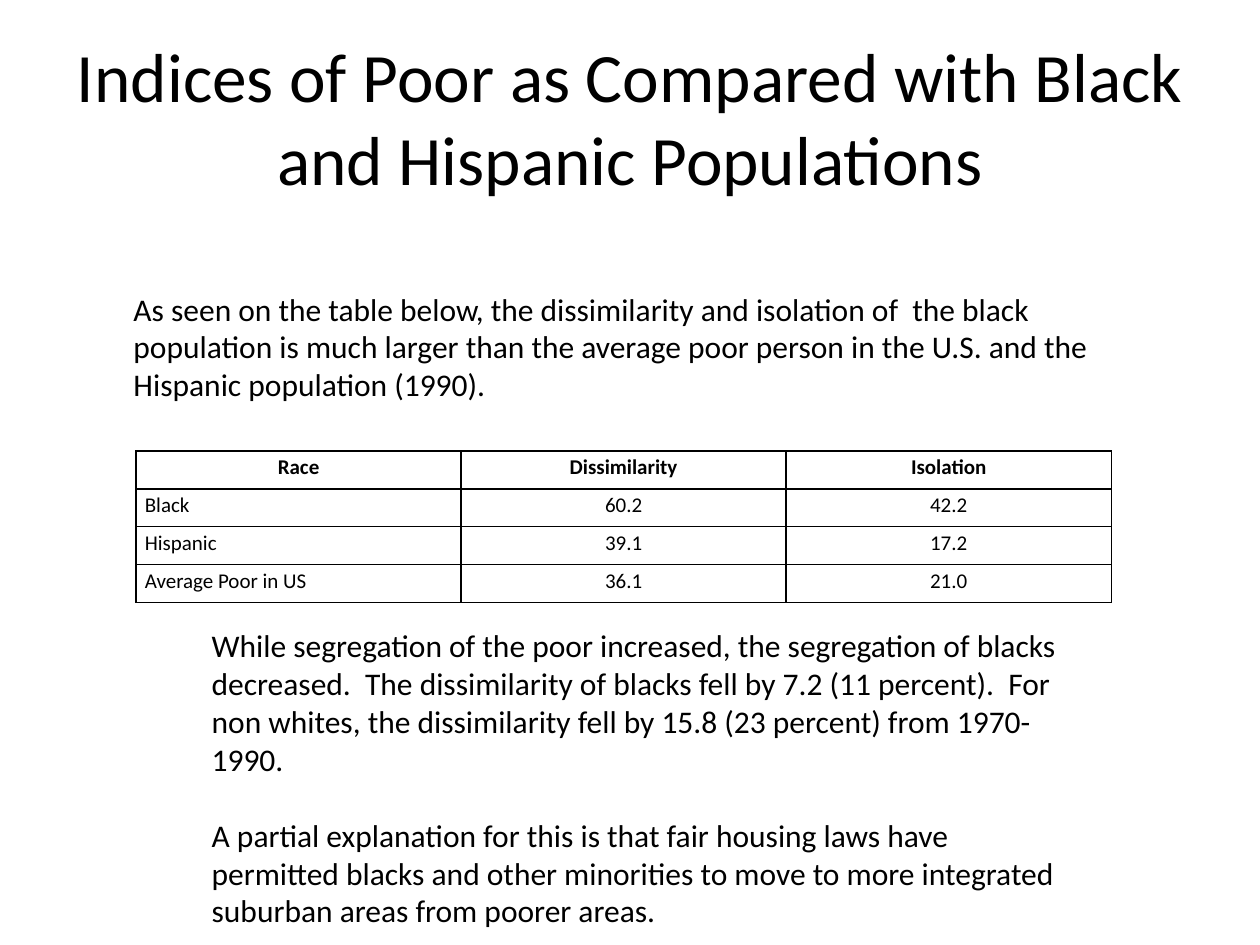
"""Build a slide comparing segregation indices of poor, Black and Hispanic populations."""
from lxml.etree import SubElement
from pptx import Presentation
from pptx.dml.color import RGBColor
from pptx.enum.text import MSO_ANCHOR as Anchor, PP_ALIGN as Align
from pptx.oxml.ns import qn
from pptx.util import Inches, Pt

TITLE = "Indices of Poor as Compared with Black and Hispanic Populations"
INTRO = [
    "As seen on the table below, the dissimilarity and isolation of  the black population "
    "is much larger than the average poor person in the U.S. and the Hispanic population (1990).",
]
FINDINGS = [
    "While segregation of the poor increased, the segregation of blacks decreased.  "
    "The dissimilarity of blacks fell by 7.2 (11 percent).  For non whites, "
    "the dissimilarity fell by 15.8 (23 percent) from 1970-1990.",
    "A partial explanation for this is that fair housing laws have permitted blacks and other "
    "minorities to move to more integrated suburban areas from poorer areas.",
]
INDICES = [
    ("Race", "Dissimilarity", "Isolation"),
    ("Black", "60.2", "42.2"),
    ("Hispanic", "39.1", "17.2"),
    ("Average Poor in US", "36.1", "21.0"),
]
THEME = {
    "font": "Calibri", "text": RGBColor(0, 0, 0), "border": "000000", "background": RGBColor(255, 255, 255),
    "title": Pt(39.6), "body": Pt(18), "table": Pt(12), "gap": Pt(22), "border_width": Pt(1),
}
COLUMN_WIDTH, ROW_HEIGHT = Inches(2.58), Inches(0.3)


def set_attributes(target, values):
    for name, value in values.items():
        setattr(target, name, value)


def format_paragraph(paragraph, size, bold=False, **layout):
    set_attributes(paragraph, layout)
    set_attributes(paragraph.font, {"name": THEME["font"], "size": size, "bold": bold})
    paragraph.font.color.rgb = THEME["text"]


def add_title(slide):
    title = slide.shapes.title
    set_attributes(title, {"left": Inches(0.5), "top": Inches(0.3), "width": Inches(9), "height": Inches(1.25)})
    frame = title.text_frame
    frame.text = TITLE
    set_attributes(frame, {"vertical_anchor": Anchor.MIDDLE, "word_wrap": True,
                           "margin_left": Inches(0.05), "margin_right": Inches(0.05)})
    format_paragraph(frame.paragraphs[0], THEME["title"], alignment=Align.CENTER)


def add_body(slide, texts, box, indent):
    frame = slide.shapes.add_textbox(*map(Inches, box)).text_frame
    set_attributes(frame, {"word_wrap": True, "margin_left": Inches(0.1 + indent)})
    for index, text in enumerate(texts):
        paragraph = frame.paragraphs[0] if index == 0 else frame.add_paragraph()
        paragraph.text = text
        format_paragraph(paragraph, THEME["body"], space_before=THEME["gap"] if index else Pt(0))


def add_borders(cell):
    properties = cell._tc.get_or_add_tcPr()
    for position, side in enumerate(("lnL", "lnR", "lnT", "lnB")):
        line = SubElement(properties, qn(f"a:{side}"), w=str(THEME["border_width"]))
        fill = SubElement(line, qn("a:solidFill"))
        SubElement(fill, qn("a:srgbClr"), val=THEME["border"])
        properties.remove(line)
        properties.insert(position, line)


def add_indices(slide):
    rows, columns = len(INDICES), len(INDICES[0])
    table = slide.shapes.add_table(rows, columns, Inches(1.08), Inches(3.58),
                                   COLUMN_WIDTH * columns, ROW_HEIGHT * rows).table
    for column in table.columns:
        column.width = COLUMN_WIDTH
    for row_index, values in enumerate(INDICES):
        table.rows[row_index].height = ROW_HEIGHT
        for column_index, value in enumerate(values):
            cell = table.cell(row_index, column_index)
            cell.text = value
            set_attributes(cell, {"margin_left": Inches(0.07), "margin_right": Inches(0.07),
                                  "margin_top": 0, "margin_bottom": 0})
            cell.fill.background()
            add_borders(cell)
            is_header = row_index == 0
            alignment = Align.CENTER if is_header or column_index else Align.LEFT
            format_paragraph(cell.text_frame.paragraphs[0], THEME["table"], is_header,
                             alignment=alignment, line_spacing=1.15)


def main():
    presentation = Presentation()
    set_attributes(presentation, {"slide_width": Inches(10), "slide_height": Inches(7.5)})
    slide = presentation.slides.add_slide(presentation.slide_layouts[5])
    slide.background.fill.solid()
    slide.background.fill.fore_color.rgb = THEME["background"]
    add_title(slide)
    add_body(slide, INTRO, (0.58, 2.25, 8.33, 1), 0.38)
    add_indices(slide)
    add_body(slide, FINDINGS, (0.58, 4.92, 7.92, 2.52), 1)
    presentation.save("out.pptx")


if __name__ == "__main__":
    main()
